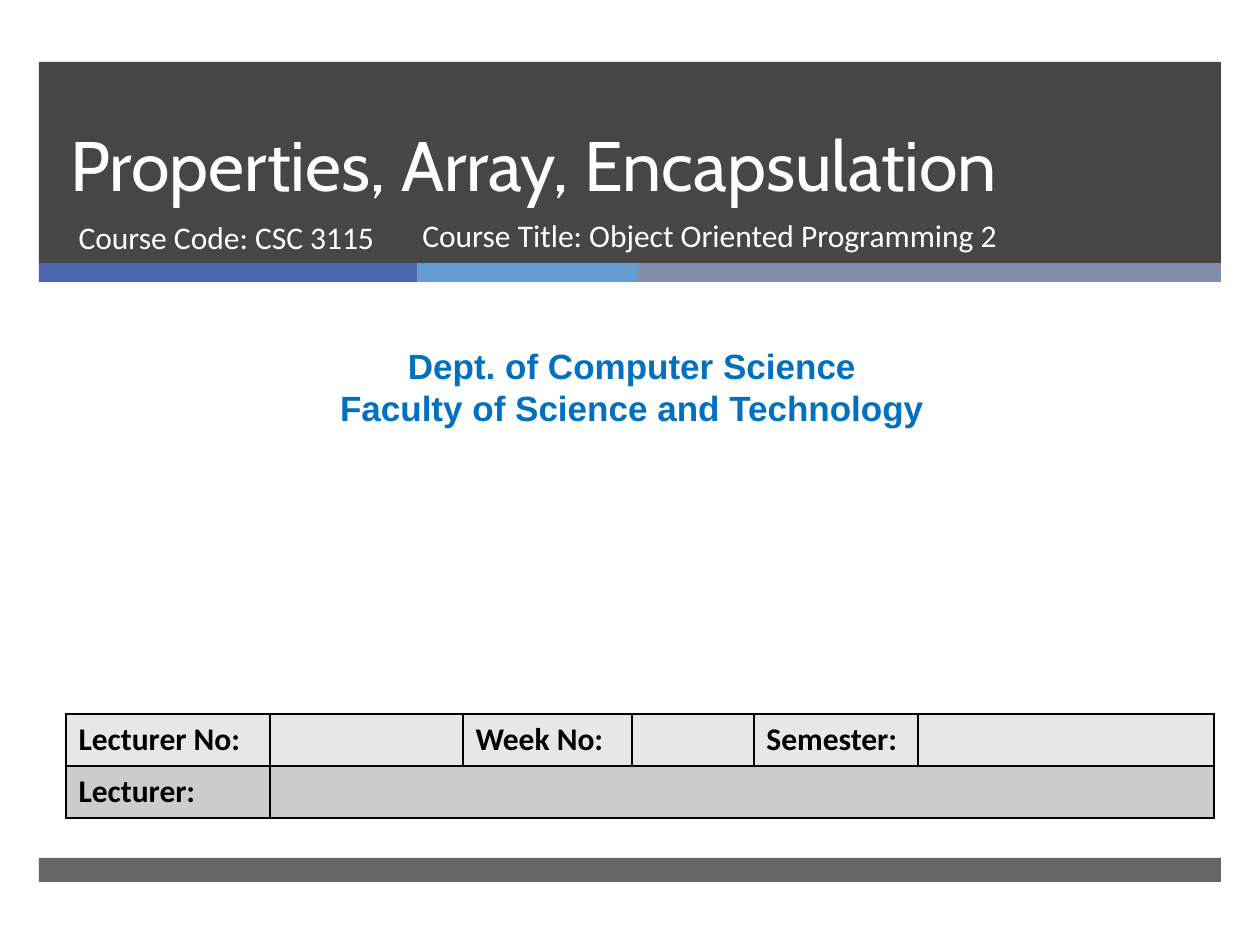
"""Build the opening slide of a lecture on properties, arrays and encapsulation."""
import itertools

import lxml.etree
import pptx
import pptx.dml.color
import pptx.enum.shapes
import pptx.enum.text
import pptx.oxml.ns
import pptx.util

EMU_PER_PX = 914400 / 126
RGBColor = pptx.dml.color.RGBColor
WHITE = RGBColor(0xFF, 0xFF, 0xFF)
BLACK = RGBColor(0, 0, 0)
CHARCOAL = RGBColor(0x26, 0x26, 0x26)
DEPARTMENT_BLUE = RGBColor(0x00, 0x70, 0xC0)
ACCENTS = [
    (378, RGBColor(0x4A, 0x66, 0xAC)),
    (221, RGBColor(0x62, 0x9D, 0xD1)),
    (583, RGBColor(0x7F, 0x8F, 0xA9)),
]
ROW_FILLS = [RGBColor(0xE7, 0xE7, 0xE7), RGBColor(0xCC, 0xCC, 0xCC)]

LEFT = pptx.enum.text.PP_ALIGN.LEFT
CENTER = pptx.enum.text.PP_ALIGN.CENTER
TOP = pptx.enum.text.MSO_ANCHOR.TOP
BOTTOM = pptx.enum.text.MSO_ANCHOR.BOTTOM

TITLE_FONT = {"name": "Cabin", "size": pptx.util.Pt(40), "bold": False}
COURSE_FONT = {"name": "Calibri", "size": pptx.util.Pt(18), "bold": False}
DEPARTMENT_FONT = {"name": "Arial", "size": pptx.util.Pt(20), "bold": True}
LABEL_FONT = {"name": "Calibri", "size": pptx.util.Pt(18), "bold": True}

BAND_LEFT, BAND_WIDTH = 39, 1182
COLUMN_WIDTHS = [204, 193, 169, 122, 164, 296]
ROW_HEIGHT = 52
TABLE_ROWS = [
    ["Lecturer No:", "", "Week No:", "", "Semester:", ""],
    ["Lecturer:", "", "", "", "", ""],
]


def px(length):
    return pptx.util.Emu(round(length * EMU_PER_PX))


def set_values(target, values):
    for name, value in values.items():
        setattr(target, name, value)


def add_band(slide, box, color, opacity=100):
    shape = slide.shapes.add_shape(
        pptx.enum.shapes.MSO_SHAPE.RECTANGLE, *map(px, box))
    shape.shadow.inherit = False
    shape.line.fill.background()
    shape.fill.solid()
    shape.fill.fore_color.rgb = color
    if opacity < 100:
        color_element = shape.fill._xPr.find(".//" + pptx.oxml.ns.qn("a:srgbClr"))
        lxml.etree.SubElement(
            color_element, pptx.oxml.ns.qn("a:alpha"), val=str(opacity * 1000))


def write_lines(frame, lines, font, color, alignment=LEFT, line_spacing=1.0):
    frame.text = "\n".join(lines)
    for paragraph in frame.paragraphs:
        set_values(paragraph, {
            "alignment": alignment,
            "line_spacing": line_spacing,
            "space_before": pptx.util.Pt(0),
        })
        for run in paragraph.runs:
            set_values(run.font, font)
            run.font.color.rgb = color


def format_text(shape, box, lines, font, color, anchor=TOP, **paragraph_format):
    set_values(shape, dict(zip(("left", "top", "width", "height"), map(px, box))))
    set_values(shape.text_frame, {
        "word_wrap": True,
        "auto_size": pptx.enum.text.MSO_AUTO_SIZE.NONE,
        "vertical_anchor": anchor,
    })
    write_lines(shape.text_frame, lines, font, color, **paragraph_format)


def raise_to_front(slide, shape):
    slide.shapes._spTree.append(shape._element)


def add_text(slide, box, *arguments, **text_format):
    shape = slide.shapes.add_textbox(*map(px, box))
    format_text(shape, box, *arguments, **text_format)


def add_borders(cell):
    properties = cell._tc.get_or_add_tcPr()
    for position, side in enumerate(("lnL", "lnR", "lnT", "lnB")):
        line = lxml.etree.Element(pptx.oxml.ns.qn("a:" + side), w="12700")
        fill = lxml.etree.SubElement(line, pptx.oxml.ns.qn("a:solidFill"))
        lxml.etree.SubElement(fill, pptx.oxml.ns.qn("a:srgbClr"), val=str(BLACK))
        properties.insert(position, line)


def add_lecture_table(slide, left, top):
    box = (left, top, sum(COLUMN_WIDTHS), ROW_HEIGHT * len(TABLE_ROWS))
    table = slide.shapes.add_table(
        len(TABLE_ROWS), len(COLUMN_WIDTHS), *map(px, box)).table
    for column, width in zip(table.columns, COLUMN_WIDTHS):
        column.width = px(width)
    for row, labels, color in zip(table.rows, TABLE_ROWS, ROW_FILLS):
        row.height = px(ROW_HEIGHT)
        for cell, label in zip(row.cells, labels):
            cell.fill.solid()
            cell.fill.fore_color.rgb = color
            add_borders(cell)
            if label:
                write_lines(cell.text_frame, [label], LABEL_FONT, BLACK)
    table.cell(1, 1).merge(table.cell(1, len(COLUMN_WIDTHS) - 1))


def add_bands(slide):
    add_band(slide, (BAND_LEFT, 62, BAND_WIDTH, 202), CHARCOAL, 85)
    widths = [width for width, color in ACCENTS]
    lefts = itertools.accumulate(widths, initial=BAND_LEFT)
    for left, (width, color) in zip(lefts, ACCENTS):
        add_band(slide, (left, 263, width, 19), color)
    add_band(slide, (BAND_LEFT, 858, BAND_WIDTH, 24), CHARCOAL, 70)


def main():
    presentation = pptx.Presentation()
    presentation.slide_width, presentation.slide_height = px(1260), px(945)
    slide = presentation.slides.add_slide(presentation.slide_layouts[0])
    title, subtitle = slide.placeholders
    add_bands(slide)

    format_text(title, (58, 62, 1076, 150), ["Properties, Array, Encapsulation"],
                TITLE_FONT, WHITE, anchor=BOTTOM, line_spacing=pptx.util.Pt(46))
    format_text(subtitle, (66, 212, 384, 67), ["Course Code: CSC 3115"],
                COURSE_FONT, WHITE)
    for placeholder in (title, subtitle):
        raise_to_front(slide, placeholder)

    add_text(slide, (10, 338, 1244, 97),
             ["Dept. of Computer Science", "Faculty of Science and Technology"],
             DEPARTMENT_FONT, DEPARTMENT_BLUE, alignment=CENTER)
    add_lecture_table(slide, 66, 714)
    add_text(slide, (410, 210, 644, 67),
             ["Course Title: Object Oriented Programming 2"], COURSE_FONT, WHITE)
    presentation.save("out.pptx")


if __name__ == "__main__":
    main()
